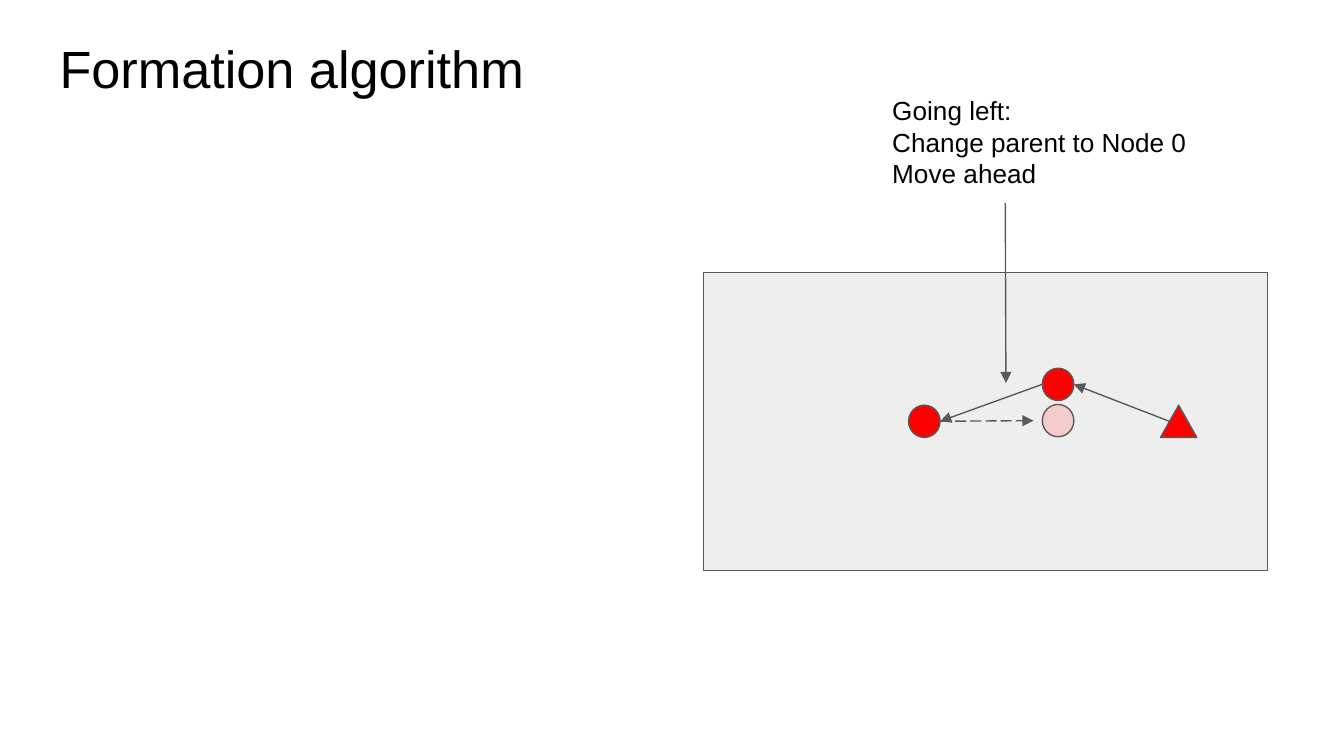
from pptx import Presentation
from pptx.dml.color import RGBColor
from pptx.enum.dml import MSO_LINE
from pptx.enum.shapes import MSO_CONNECTOR, MSO_SHAPE
from pptx.enum.text import MSO_ANCHOR
from pptx.oxml.ns import qn
from pptx.util import Pt
from lxml import etree

PX = 4572  # 200 px to the inch
RECT, OVAL, TRIANGLE = MSO_SHAPE.RECTANGLE, MSO_SHAPE.OVAL, MSO_SHAPE.ISOSCELES_TRIANGLE
STRAIGHT = MSO_CONNECTOR.STRAIGHT
LONG_DASH = MSO_LINE.LONG_DASH
TOP = MSO_ANCHOR.TOP

BLACK = RGBColor(0x00, 0x00, 0x00)
GRAY = RGBColor(0x59, 0x59, 0x59)
LIGHT_GRAY = RGBColor(0xEE, 0xEE, 0xEE)
RED = RGBColor(0xFF, 0x00, 0x00)
PINK = RGBColor(0xF4, 0xCC, 0xCC)

NODE_W, NODE_H = 47, 48


def px(*values):
    return [v * PX for v in values]


def add_text(s, box, lines, size):
    tf = s.shapes.add_textbox(*px(*box)).text_frame
    tf.word_wrap = True
    tf.vertical_anchor = TOP
    tf.margin_left = tf.margin_right = tf.margin_top = tf.margin_bottom = 20 * PX
    for i, line in enumerate(lines):
        p = tf.add_paragraph() if i else tf.paragraphs[0]
        p.text = line
        p.font.name = "Arial"
        p.font.size = Pt(size)
        p.font.color.rgb = BLACK


def add_shape(s, kind, box, fill):
    sp = s.shapes.add_shape(kind, *px(*box))
    sp.shadow.inherit = False
    sp.fill.solid()
    sp.fill.fore_color.rgb = fill
    sp.line.color.rgb = GRAY
    sp.line.width = Pt(0.75)


def add_node(s, x, y, fill):
    add_shape(s, OVAL, (x, y, NODE_W, NODE_H), fill)


def add_arrow(s, start, end, dash=None):
    connector = s.shapes.add_connector(STRAIGHT, *px(*start, *end))
    connector.line.color.rgb = GRAY
    connector.line.width = Pt(0.75)
    if dash:
        connector.line.dash_style = dash
    ln = connector._element.spPr.find(qn("a:ln"))
    etree.SubElement(ln, qn("a:tailEnd"), type="triangle")
    etree.SubElement(connector._element.spPr, qn("a:effectLst"))


def main():
    prs = Presentation()
    prs.slide_width, prs.slide_height = px(2000, 1125)
    s = prs.slides.add_slide(prs.slide_layouts[6])

    # Field and title
    add_shape(s, RECT, (1047, 406, 839, 443), LIGHT_GRAY)
    add_text(s, (69, 34, 1863, 126), ["Formation algorithm"], 28)

    # Leader and followers
    add_shape(s, TRIANGLE, (1727, 603, 54, 48), RED)
    add_node(s, 1551, 548, RED)
    add_node(s, 1352, 603, RED)

    # Links from child to parent
    add_arrow(s, (1740, 627), (1598, 572))
    add_arrow(s, (1551, 572), (1399, 627))

    # Explanation pointing at the link
    add_text(s, (1308, 121, 496, 126),
             ["Going left:", "Change parent to Node 0", "Move ahead"], 14)
    add_arrow(s, (1496, 302), (1497, 570))

    # Move to the next position
    add_arrow(s, (1399, 627), (1538, 626), LONG_DASH)
    add_node(s, 1551, 602, PINK)

    prs.save("out.pptx")


if __name__ == "__main__":
    main()
